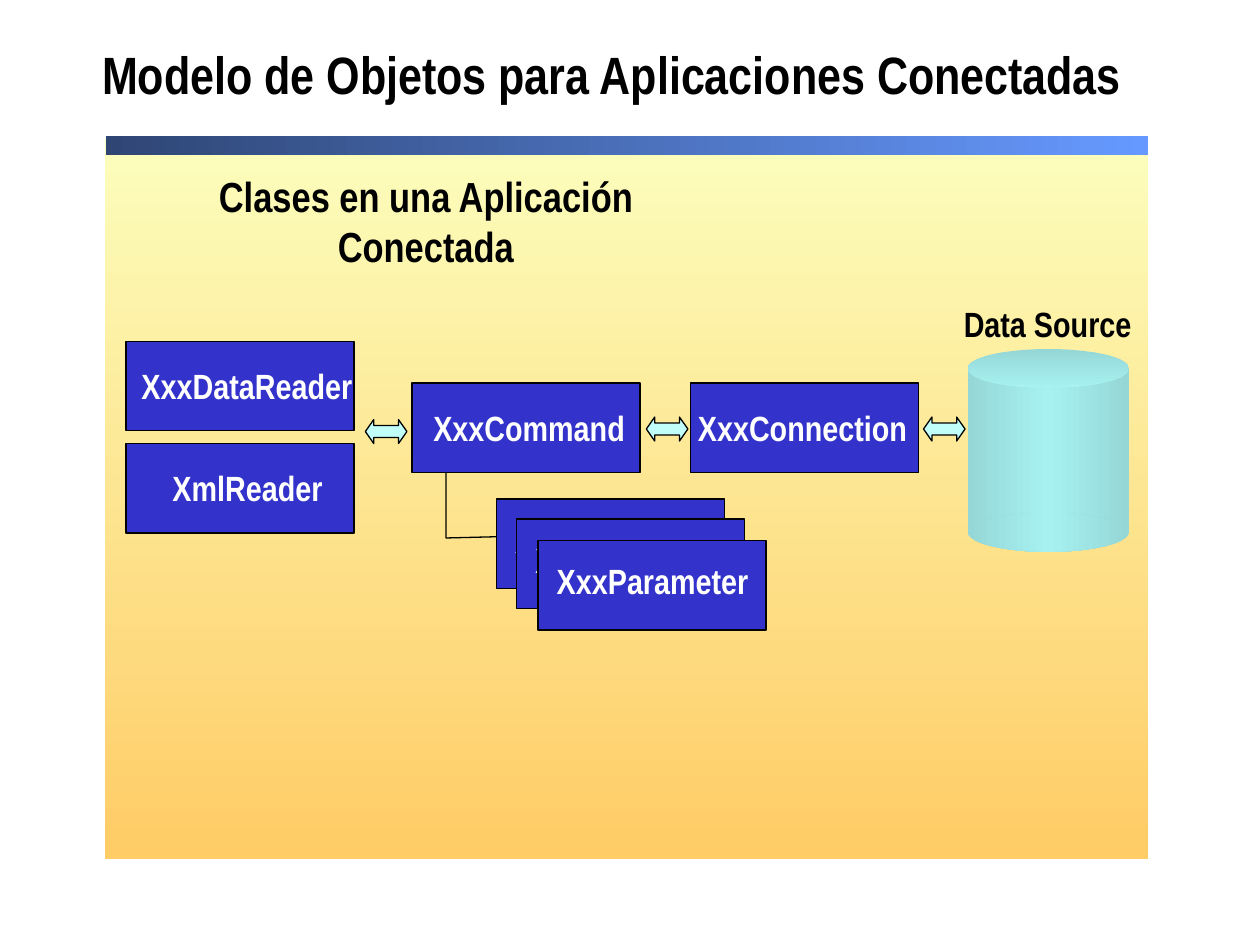
from lxml import etree
from pptx import Presentation
from pptx.dml.color import RGBColor
from pptx.enum import shapes, text
from pptx.oxml.ns import qn
from pptx.util import Inches, Pt

FONT = "Arial Narrow"
BLACK, WHITE, BLUE, AQUA = "000000", "FFFFFF", "3333CC", "C1FEF9"
TEAL, LIGHT_TEAL = "95D7D7", "A7F1F1"
DOWN, LEFTWARD = 270, 180  # gradient angles, counter-clockwise

TITLE = "Modelo de Objetos para Aplicaciones Conectadas"
HEADING = "Clases en una Aplicación Conectada"
SOURCE = "Data Source"

BOX_W, BOX_H, LABEL_H = 1.81, 0.71, 0.44
# name, box left, box top, label offset x, label offset y, label width
CLASSES = [
    ("XxxConnection", 5.48, 3.04, -0.06, 0.13, 1.9),
    ("XxxCommand", 3.27, 3.04, 0.05, 0.13, 1.76),
    ("XxxDataReader", 1, 2.71, 0, 0.13, 1.92),
    ("XmlReader", 1, 3.52, 0.25, 0.13, 1.43),
] + [
    ("XxxParameter", 3.94 + i * 0.165, 3.96 + i * 0.165, 0.03, 0.1, 1.76)
    for i in range(3)
]
ARROWS = [(2.9, 3.33), (5.13, 3.31), (7.33, 3.31)]
LINK = [(3.54, 3.5), (3.54, 4.27), (4.35, 4.25)]
CYLINDER_X, CYLINDER_W = 7.68, 1.28


def rgb(colour):
    return RGBColor.from_string(colour)


def inches(*values):
    return [Inches(round(v, 2)) for v in values]


def add_shape(parent, kind, at, fill=None, line=None):
    sp = parent.add_shape(kind, *inches(*at))
    sp.shadow.inherit = False
    if fill:
        sp.fill.solid()
        sp.fill.fore_color.rgb = rgb(fill)
    if line:
        outline(sp, line)
    else:
        sp.line.fill.background()
    return sp


def outline(sp, colour):
    sp.line.color.rgb = rgb(colour)
    sp.line.width = Pt(0.75)


def shade(sp, colours, angle):
    """Fill with a linear gradient of evenly spaced colours."""
    sp.fill.gradient()
    sp.fill.gradient_angle = angle
    stops = sp._element.spPr.find(qn("a:gradFill")).find(qn("a:gsLst"))
    for stop in list(stops):
        stops.remove(stop)
    for i, colour in enumerate(colours):
        position = 100000 * i // (len(colours) - 1)
        stop = etree.SubElement(stops, qn("a:gs"), pos=str(position))
        etree.SubElement(stop, qn("a:srgbClr"), val=colour)


def write(tf, words, size, colour, align):
    tf.vertical_anchor = text.MSO_ANCHOR.MIDDLE
    p = tf.paragraphs[0]
    p.alignment = align
    r = p.add_run()
    r.text = words
    r.font.name, r.font.size, r.font.bold = FONT, Pt(size), True
    r.font.color.rgb = rgb(colour)
    return p


def add_label(parent, words, at, size=20, colour=BLACK, wrap=False):
    tf = parent.add_textbox(*inches(*at)).text_frame
    tf.word_wrap = wrap
    tf.auto_size = text.MSO_AUTO_SIZE.SHAPE_TO_FIT_TEXT
    write(tf, words, size, colour, text.PP_ALIGN.CENTER)


def add_class(s, name, x, y, dx, dy, label_w):
    group = s.shapes.add_group_shape().shapes
    add_shape(group, shapes.MSO_SHAPE.RECTANGLE, (x, y, BOX_W, BOX_H), BLUE, BLACK)
    add_label(group, name, (x + dx, y + dy, label_w, LABEL_H), colour=WHITE)


def add_cylinder(s):
    group = s.shapes.add_group_shape().shapes
    side = [TEAL, LIGHT_TEAL, TEAL]
    for kind, y, h, colours, angle in [
        (shapes.MSO_SHAPE.RECTANGLE, 2.93, 1.31, side, LEFTWARD),
        (shapes.MSO_SHAPE.OVAL, 2.77, 0.31, side[:2], DOWN),
        (shapes.MSO_SHAPE.OVAL, 4.07, 0.31, side, LEFTWARD),
    ]:
        part = add_shape(group, kind, (CYLINDER_X, y, CYLINDER_W, h))
        shade(part, colours, angle)


def add_link(s):
    points = [inches(*point) for point in LINK]
    builder = s.shapes.build_freeform(*points[0])
    builder.add_line_segments(points[1:], close=False)
    sp = builder.convert_to_shape()
    sp.shadow.inherit = False
    sp.fill.background()
    outline(sp, BLACK)


def main():
    prs = Presentation()
    prs.slide_width, prs.slide_height = inches(10, 7.5)
    s = prs.slides.add_slide(prs.slide_layouts[5])

    for at, colours, angle in [
        ((0.83, 1.1, 8.28, 5.72), ["FCFEBC", "FFCC66"], DOWN),
        ((0.84, 1.08, 8.27, 0.15), ["6699FF", "2F4675"], LEFTWARD),
    ]:
        shade(add_shape(s.shapes, shapes.MSO_SHAPE.RECTANGLE, at), colours, angle)

    title = s.shapes.title
    title.left, title.top, title.width, title.height = inches(0.71, 0.17, 8.96, 0.92)
    title.text_frame.auto_size = text.MSO_AUTO_SIZE.NONE
    p = write(title.text_frame, TITLE, 30, BLACK, text.PP_ALIGN.LEFT)
    p.line_spacing = 0.8

    add_link(s)
    add_label(s.shapes, SOURCE, (7.55, 2.35, 1.53, LABEL_H))
    add_cylinder(s)
    for item in CLASSES:
        add_class(s, *item)
    for x, y in ARROWS:
        arrow = add_shape(s.shapes, shapes.MSO_SHAPE.LEFT_RIGHT_ARROW,
                          (x, y, 0.33, 0.19), AQUA, BLACK)
        arrow.adjustments[1] = 0.35
    add_label(s.shapes, HEADING, (0.92, 1.3, 4.92, 0.9), size=24, wrap=True)

    prs.save("out.pptx")


if __name__ == "__main__":
    main()
